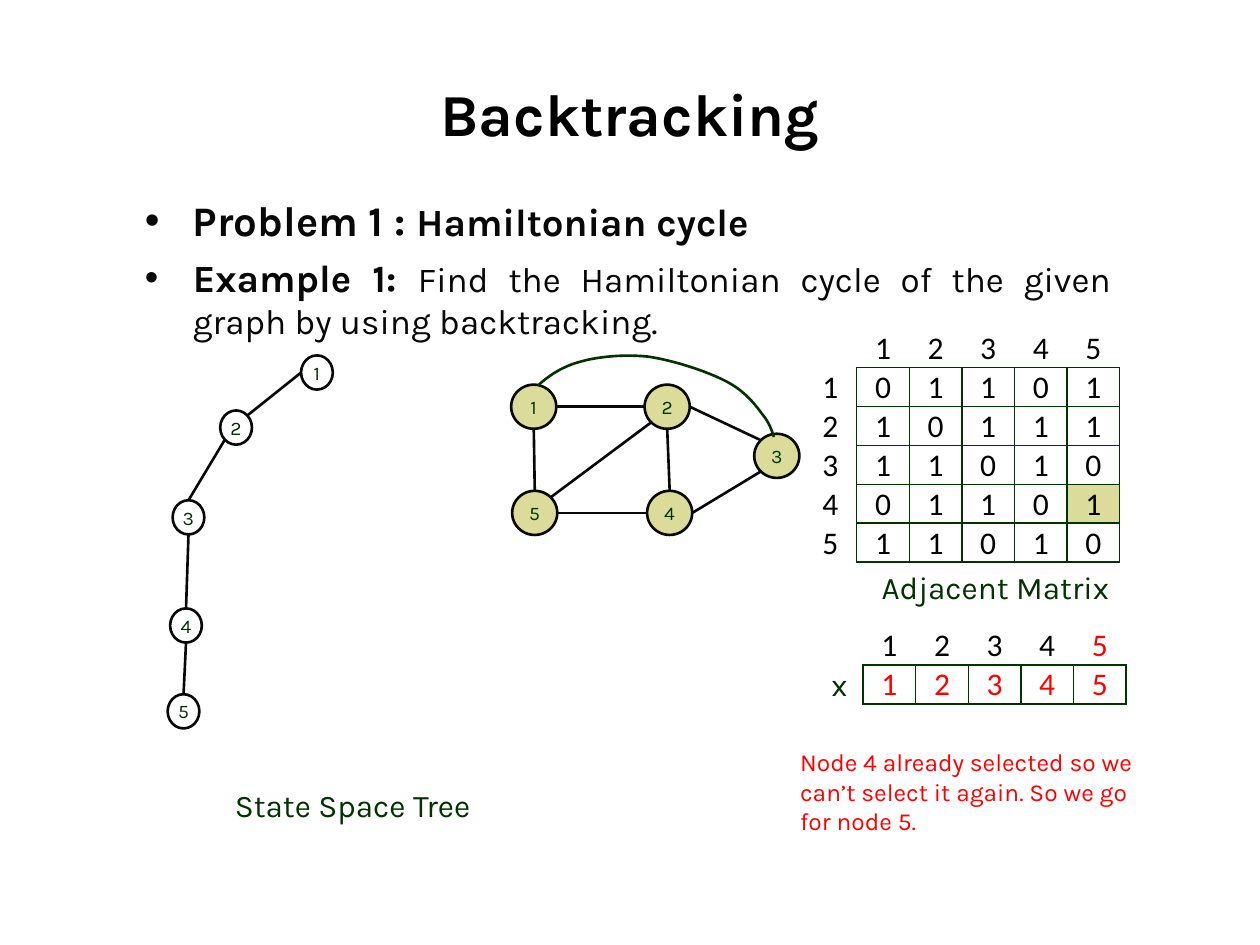
from collections import namedtuple
from dataclasses import dataclass

from lxml import etree
from pptx import Presentation
from pptx import util as u
from pptx.dml.color import RGBColor
from pptx.enum import shapes, text
from pptx.oxml import ns

Box = namedtuple("Box", "left top width height")  # centimetres


@dataclass(frozen=True)
class Theme:
    font: str = "Karla"
    table_font: str = "Calibri"
    black: str = "000000"
    ink: str = "080808"
    green: str = "003300"
    khaki: str = "DCDC9A"
    red: str = "FF0000"
    white: str = "FFFFFF"
    title: int = 34
    problem: int = 24
    heading: int = 22
    body: int = 20
    label: int = 18
    note: int = 14
    node: int = 11
    line: float = 1.5
    border: float = 1


THEME = Theme()
SITES = {"n": (0, -1), "e": (1, 0), "s": (0, 1), "w": (-1, 0),
         "ne": (0.71, -0.71), "nw": (-0.71, -0.71), "sw": (-0.71, 0.71)}


def lengths(box):
    return [u.Cm(value) for value in box]


def set_font(font, size, color, bold=None, name=THEME.font):
    font.name, font.size, font.bold = name, u.Pt(size), bold
    font.color.rgb = RGBColor.from_string(color)


def set_line(line, color):
    line.color.rgb = RGBColor.from_string(color)
    line.width = u.Pt(THEME.line)


def add_text(slide, box, words, size, color, align=text.PP_ALIGN.LEFT):
    frame = slide.shapes.add_textbox(*lengths(box)).text_frame
    frame.word_wrap = True
    paragraph = frame.paragraphs[0]
    paragraph.text, paragraph.alignment = words, align
    set_font(paragraph.font, size, color)


def add_title(slide, box, words):
    title = slide.shapes.title
    title.left, title.top, title.width, title.height = lengths(box)
    title.text_frame.text = words
    title.text_frame.vertical_anchor = text.MSO_ANCHOR.MIDDLE
    paragraph = title.text_frame.paragraphs[0]
    paragraph.alignment = text.PP_ALIGN.CENTER
    set_font(paragraph.font, THEME.title, THEME.black, True)


def add_bullets(slide, box, items):
    """Each item is a list of runs: (words, size, bold)."""
    frame = slide.shapes.add_textbox(*lengths(box)).text_frame
    frame.word_wrap = True
    for index, runs in enumerate(items):
        paragraph = frame.add_paragraph() if index else frame.paragraphs[0]
        paragraph.alignment = text.PP_ALIGN.JUSTIFY
        if index:
            paragraph.space_before = u.Pt(5)
        properties = paragraph._p.get_or_add_pPr()
        properties.set("marL", str(u.Cm(0.97)))
        properties.set("indent", str(u.Cm(-0.97)))
        etree.SubElement(properties, ns.qn("a:buFont"), typeface="Arial")
        etree.SubElement(properties, ns.qn("a:buChar"), char="•")
        for words, size, bold in runs:
            run = paragraph.add_run()
            run.text = words
            set_font(run.font, size, THEME.ink, bold)


def add_node(slide, center, size, name, fill):
    (x, y), (width, height) = center, size
    box = Box(x - width / 2, y - height / 2, width, height)
    node = slide.shapes.add_shape(shapes.MSO_SHAPE.OVAL, *lengths(box))
    node.shadow.inherit = False
    if fill:
        node.fill.solid()
        node.fill.fore_color.rgb = RGBColor.from_string(fill)
    else:
        node.fill.background()
    set_line(node.line, THEME.ink)
    frame = node.text_frame
    frame.margin_left = frame.margin_right = frame.margin_top = frame.margin_bottom = 0
    frame.word_wrap = False
    frame.vertical_anchor = text.MSO_ANCHOR.MIDDLE
    paragraph = frame.paragraphs[0]
    paragraph.text, paragraph.alignment = str(name), text.PP_ALIGN.CENTER
    set_font(paragraph.font, THEME.node, THEME.green)


def add_network(slide, box, centers, edges, node_size, fill=None):
    """Numbered nodes; each edge is (node, site, node, site)."""
    places = {name: (box.left + x, box.top + y) for name, (x, y) in centers.items()}

    def rim(name, site):
        return [u.Cm(c + d * s / 2)
                for c, d, s in zip(places[name], SITES[site], node_size)]

    for start, start_site, end, end_site in edges:
        edge = slide.shapes.add_connector(shapes.MSO_CONNECTOR.STRAIGHT,
                                          *rim(start, start_site), *rim(end, end_site))
        set_line(edge.line, THEME.ink)
        etree.SubElement(edge._element.spPr, ns.qn("a:effectLst"))
    for name, center in places.items():
        add_node(slide, center, node_size, name, fill)


def add_curve(slide, box, start, segments, steps=12):
    """Smooth open outline through cubic Bezier segments."""
    points = [start]
    for b, c, d in segments:
        a = points[-1]
        for step in range(1, steps + 1):
            t = step / steps
            weights = ((1 - t) ** 3, 3 * t * (1 - t) ** 2, 3 * t * t * (1 - t), t ** 3)
            points.append(tuple(sum(w * p[axis] for w, p in zip(weights, (a, b, c, d)))
                                for axis in (0, 1)))
    outline = [(u.Cm(box.left + x), u.Cm(box.top + y)) for x, y in points]
    builder = slide.shapes.build_freeform(*outline[0])
    builder.add_line_segments(outline[1:], close=False)
    curve = builder.convert_to_shape()
    curve.shadow.inherit = False
    curve.fill.background()
    set_line(curve.line, THEME.green)


def set_borders(cell, colors):
    properties = cell._tc.get_or_add_tcPr()
    for side in "LRTB":
        line = etree.SubElement(properties, ns.qn("a:ln" + side), w=str(u.Pt(THEME.border)))
        fill = etree.SubElement(line, ns.qn("a:solidFill"))
        etree.SubElement(fill, ns.qn("a:srgbClr"), val=colors[side])


def add_grid(slide, box, rows, side_heads, color_of, marked=None):
    """Framed cells below a row of plain heads, with plain side heads if asked."""
    table = slide.shapes.add_table(len(rows), len(rows[0]), *lengths(box)).table
    table.first_row = table.horz_banding = False
    for r, row in enumerate(rows):
        for c, value in enumerate(row):
            cell = table.cell(r, c)
            top_head, side_head = r == 0, side_heads and c == 0
            plain = top_head or side_head
            colors = dict.fromkeys("LRTB", THEME.white if plain else THEME.green)
            if top_head and not side_head:
                colors["B"] = THEME.green
            if side_head and not top_head:
                colors["R"] = THEME.green
            set_borders(cell, colors)
            if (r, c) == marked:
                cell.fill.solid()
                cell.fill.fore_color.rgb = RGBColor.from_string(THEME.khaki)
            else:
                cell.fill.background()
            cell.margin_left = cell.margin_right = cell.margin_top = u.Cm(0.02)
            cell.margin_bottom = 0
            cell.vertical_anchor = text.MSO_ANCHOR.BOTTOM
            paragraph = cell.text_frame.paragraphs[0]
            paragraph.text, paragraph.alignment = value, text.PP_ALIGN.CENTER
            set_font(paragraph.font, THEME.label, color_of(r, c), name=THEME.table_font)


def main():
    presentation = Presentation()
    presentation.slide_width, presentation.slide_height = u.Cm(25.4), u.Cm(19.05)
    slide = presentation.slides.add_slide(presentation.slide_layouts[5])
    center = text.PP_ALIGN.CENTER

    # Title and problem statement
    add_title(slide, Box(1.27, 1.27, 22.86, 2.01), "Backtracking")
    add_bullets(slide, Box(2.67, 3.8, 19.99, 12.78), [
        [("Problem 1 : ", THEME.problem, True), ("Hamiltonian cycle", THEME.heading, True)],
        [("Example 1: ", THEME.heading, True),
         ("Find the Hamiltonian cycle of the given graph by using backtracking.",
          THEME.body, False)]])

    # Given graph
    graph = Box(10.3, 7.16, 5.82, 3.63)
    add_network(slide, graph,
                {1: (0.46, 1.04), 2: (3.15, 1.04), 3: (5.36, 2.03),
                 4: (3.2, 3.18), 5: (0.48, 3.18)},
                [(2, "w", 1, "e"), (4, "w", 5, "e"), (2, "s", 4, "n"), (5, "n", 1, "s"),
                 (2, "sw", 5, "ne"), (3, "nw", 2, "e"), (3, "sw", 4, "e")],
                (0.91, 0.89), THEME.khaki)
    add_curve(slide, graph, (0.55, 0.61), [
        ((0.77, 0.41), (1.03, 0.23), (1.41, 0.13)),
        ((1.77, 0.03), (2.27, -0.02), (2.76, 0.03)),
        ((3.26, 0.1), (3.97, 0.33), (4.36, 0.54)),
        ((4.74, 0.74), (4.94, 1.02), (5.09, 1.22)),
        ((5.24, 1.4), (5.3, 1.65), (5.3, 1.65))])

    # Adjacency matrix
    links = ["01101", "10111", "11010", "01101", "11010"]
    matrix = [["", *"12345"]] + [[str(i), *row] for i, row in enumerate(links, 1)]
    add_grid(slide, Box(16.21, 6.63, 6.36, 4.7), matrix, True,
             lambda r, c: THEME.black, marked=(4, 5))
    add_text(slide, Box(16.89, 11.33, 6.35, 1.02), "Adjacent Matrix",
             THEME.label, THEME.green, center)

    # Solution vector
    add_grid(slide, Box(17.4, 12.62, 5.3, 1.57), ["12345"] * 2, False,
             lambda r, c: THEME.red if r == 1 or c == 4 else THEME.black)
    add_text(slide, Box(16.51, 13.28, 1.17, 1.02), "x", THEME.label, THEME.green)
    add_text(slide, Box(15.88, 14.94, 7.37, 2.06),
             "Node 4 already selected so we can’t select it again. So we go for node 5.",
             THEME.note, THEME.red)

    # State space tree
    add_network(slide, Box(3.35, 7.18, 3.38, 7.5),
                {1: (3.04, 0.33), 2: (1.41, 1.44), 3: (0.45, 3.25),
                 4: (0.4, 5.43), 5: (0.35, 7.16)},
                [(2, "ne", 1, "w"), (3, "n", 2, "sw"), (4, "n", 3, "s"), (5, "n", 4, "s")],
                (0.64, 0.69))
    add_text(slide, Box(3.91, 15.72, 6.4, 1.02), "State Space Tree",
             THEME.label, THEME.green, center)

    presentation.save("out.pptx")


if __name__ == "__main__":
    main()
